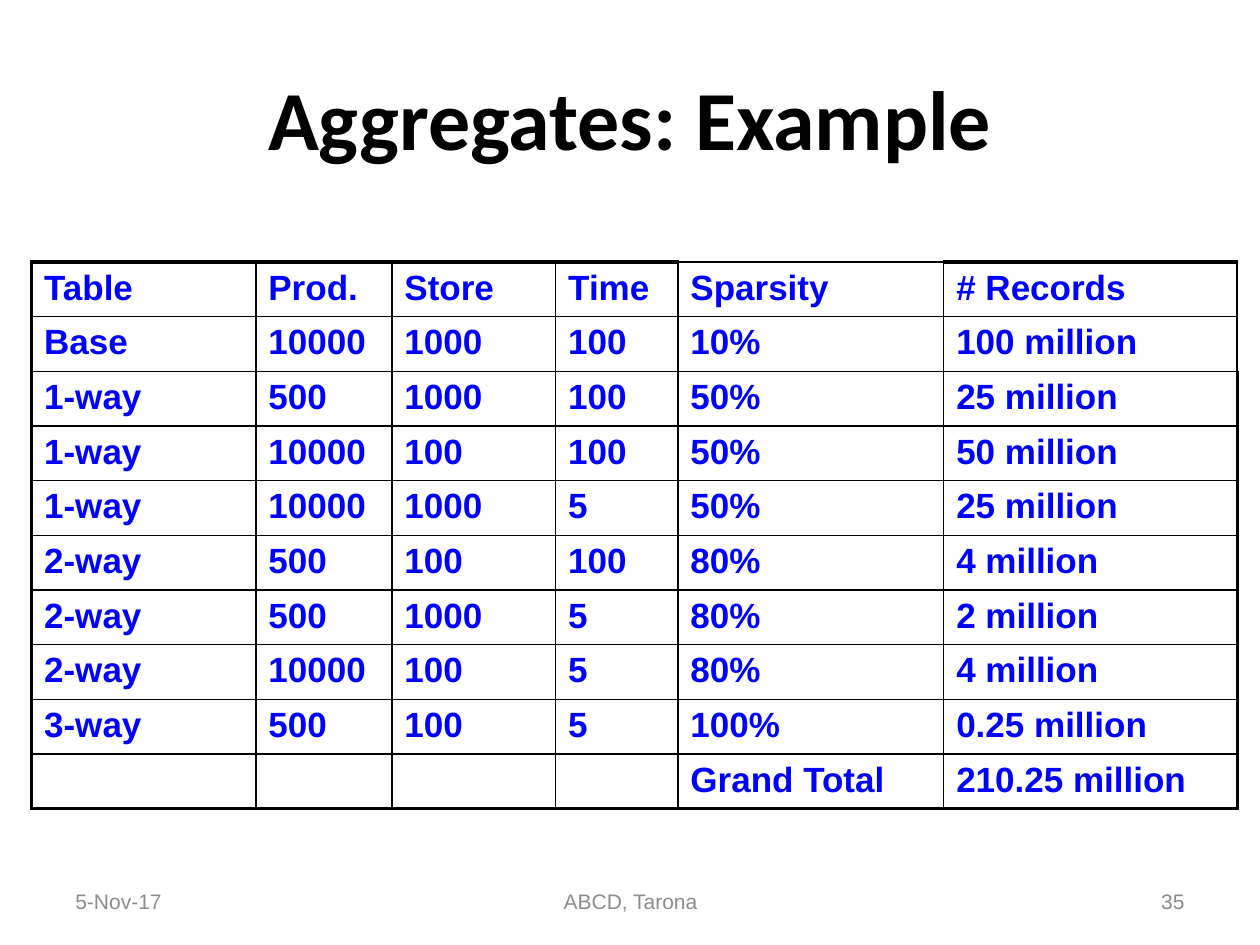
from lxml.etree import SubElement
from pptx import Presentation
from pptx.dml.color import RGBColor
from pptx.enum.text import MSO_ANCHOR, PP_ALIGN
from pptx.oxml.ns import qn
from pptx.util import Inches, Pt

TITLE = "Aggregates: Example"
ROWS = [
    ("Table", "Prod.", "Store", "Time", "Sparsity", "# Records"),
    ("Base", "10000", "1000", "100", "10%", "100 million"),
    ("1-way", "500", "1000", "100", "50%", "25 million"),
    ("1-way", "10000", "100", "100", "50%", "50 million"),
    ("1-way", "10000", "1000", "5", "50%", "25 million"),
    ("2-way", "500", "100", "100", "80%", "4 million"),
    ("2-way", "500", "1000", "5", "80%", "2 million"),
    ("2-way", "10000", "100", "5", "80%", "4 million"),
    ("3-way", "500", "100", "5", "100%", "0.25 million"),
    ("", "", "", "", "Grand Total", "210.25 million"),
]
COLUMN_WIDTHS = [1.78, 1.08, 1.3, 0.97, 2.11, 2.33]
ROW_HEIGHT = 0.41
SPARSITY_COLUMN = 4
THIN, THICK = 1, 2.25
FOOTERS = [
    ("5-Nov-17", 0.5, 2.33, PP_ALIGN.LEFT, "8C8C8C"),
    ("ABCD, Tarona", 3.42, 3.17, PP_ALIGN.CENTER, "8C8C8C"),
    ("35", 7.17, 2.33, PP_ALIGN.RIGHT, "898989"),
]


def set_font(paragraph, name, size, color, bold=False):
    font = paragraph.font
    font.name, font.size, font.bold = name, Pt(size), bold
    font.color.rgb = RGBColor.from_string(color)


def set_borders(cell, widths):
    properties = cell._tc.get_or_add_tcPr()
    for position, (side, width) in enumerate(widths.items()):
        line = SubElement(properties, qn(f"a:ln{side}"), w=str(Pt(width)))
        fill = SubElement(line, qn("a:solidFill"))
        SubElement(fill, qn("a:srgbClr"), val="000000")
        properties.insert(position, line)


def border_widths(row, column):
    last_row, last_column = len(ROWS) - 1, len(COLUMN_WIDTHS) - 1
    thick = {
        "L": column == 0,
        "R": column == last_column and row >= 2,
        "T": row == 0 and column != SPARSITY_COLUMN,
        "B": row == last_row,
    }
    return {side: THICK if heavy else THIN for side, heavy in thick.items()}


def add_title(slide):
    title = slide.shapes.title
    title.left, title.top = Inches(0.5), Inches(0.3)
    title.width, title.height = Inches(9), Inches(1.25)
    title.text_frame.text = TITLE
    title.text_frame.vertical_anchor = MSO_ANCHOR.MIDDLE
    paragraph = title.text_frame.paragraphs[0]
    paragraph.alignment = PP_ALIGN.CENTER
    set_font(paragraph, "Calibri", 48, "000000", True)


def add_aggregates_table(slide):
    table = slide.shapes.add_table(
        len(ROWS), len(COLUMN_WIDTHS), Inches(0.25), Inches(2.08),
        Inches(sum(COLUMN_WIDTHS)), Inches(ROW_HEIGHT * len(ROWS))).table
    table.first_row = table.horz_banding = False
    for column, width in zip(table.columns, COLUMN_WIDTHS):
        column.width = Inches(width)
    for row, values in enumerate(ROWS):
        table.rows[row].height = Inches(ROW_HEIGHT)
        for column, value in enumerate(values):
            cell = table.cell(row, column)
            cell.text = value
            cell.fill.background()
            set_font(cell.text_frame.paragraphs[0], "Arial", 20, "0000FF", True)
            set_borders(cell, border_widths(row, column))


def add_footer(slide, text, left, width, alignment, color):
    frame = slide.shapes.add_textbox(
        Inches(left), Inches(6.95), Inches(width), Inches(0.4)).text_frame
    frame.word_wrap = True
    frame.vertical_anchor = MSO_ANCHOR.MIDDLE
    frame.text = text
    frame.paragraphs[0].alignment = alignment
    set_font(frame.paragraphs[0], "Arial", 12, color)


def main():
    presentation = Presentation()
    presentation.slide_width, presentation.slide_height = Inches(10), Inches(7.5)
    slide = presentation.slides.add_slide(presentation.slide_layouts[5])
    add_title(slide)
    for footer in FOOTERS:
        add_footer(slide, *footer)
    add_aggregates_table(slide)
    presentation.save("out.pptx")


if __name__ == "__main__":
    main()
